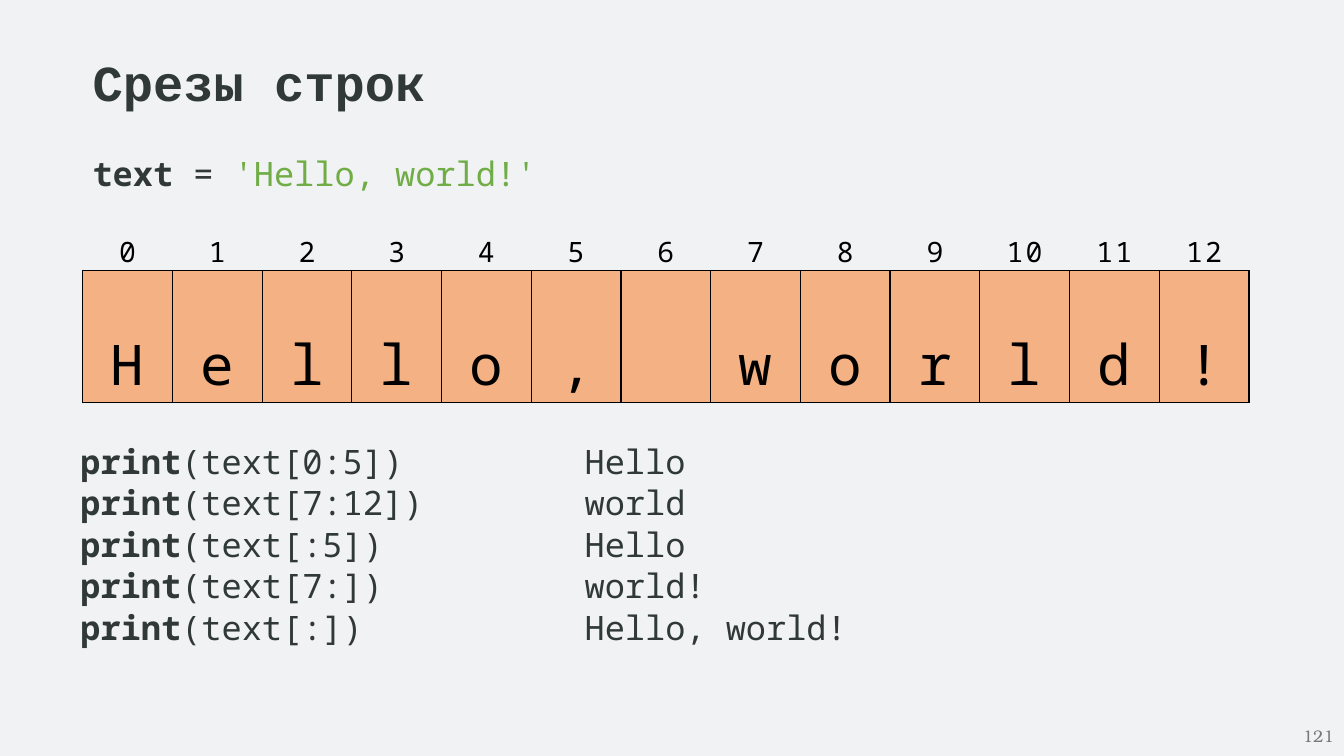
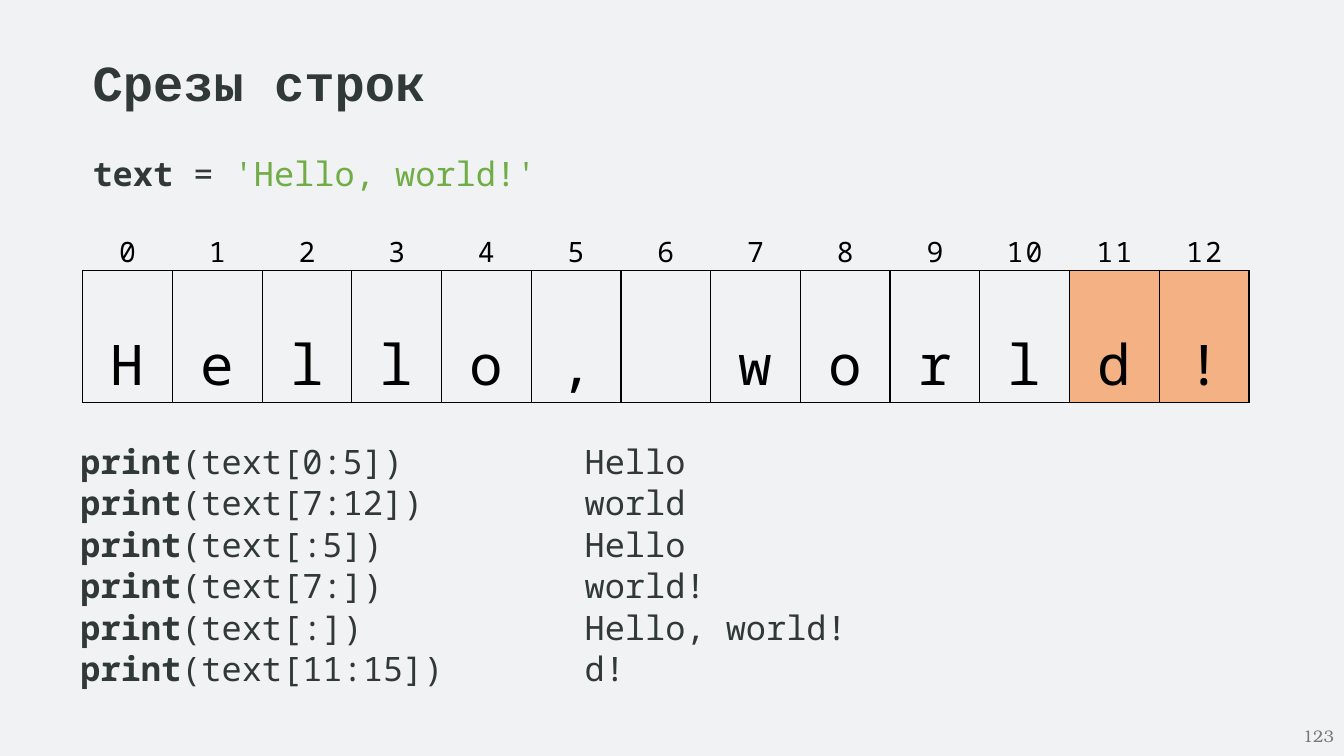
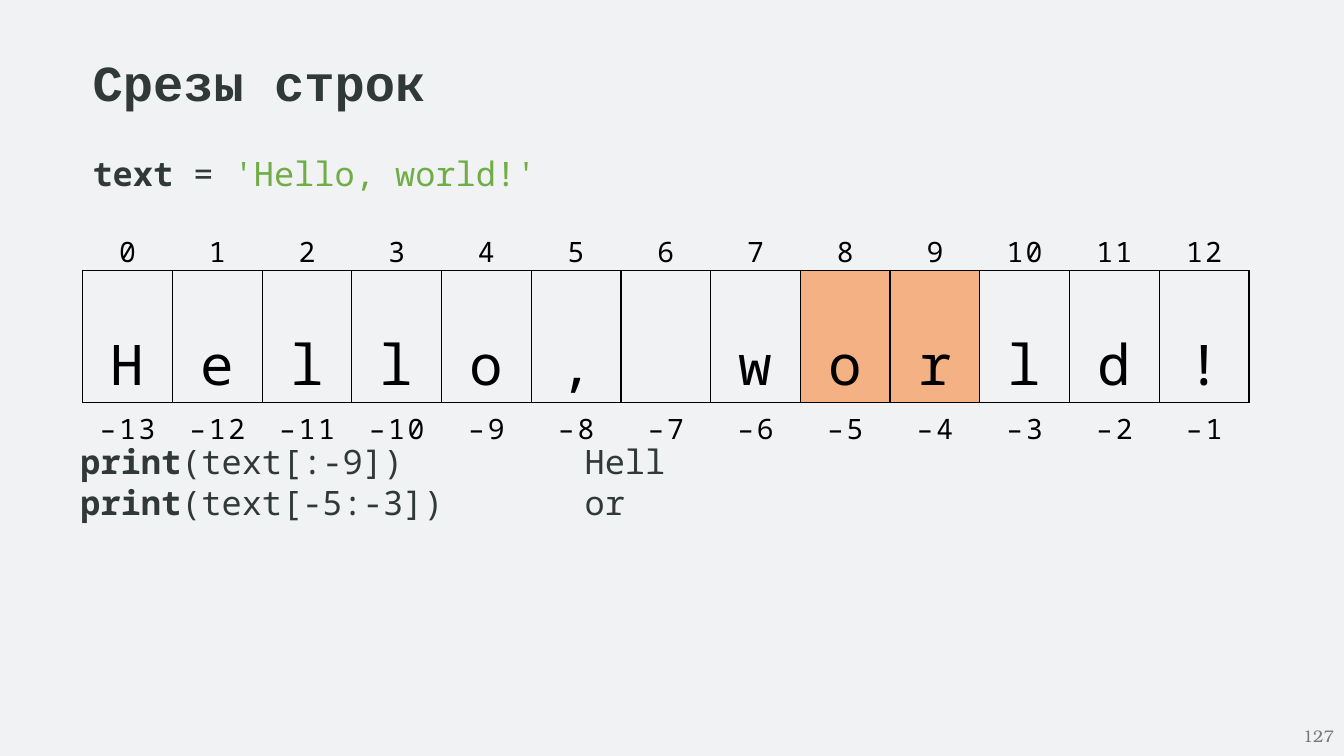
"""Build three slides that explain string slices in Python."""
from lxml import etree
from pptx import Presentation
from pptx import util as u
from pptx.dml.color import RGBColor
from pptx.enum import text
from pptx.oxml import ns

COLOURS = {
    "background": "F1F2F3",
    "ink": "303938",
    "string": "70AD47",
    "cell": "F4B183",
    "line": "000000",
    "page": "797979",
}
CODE = {"name": "Noto Sans Mono", "size": u.Pt(24), "bold": False}
FORMATS = {
    "title": ({"name": "Courier New", "size": u.Pt(36), "bold": True}, "ink"),
    "code": (CODE, "ink"),
    "keyword": (CODE | {"bold": True}, "ink"),
    "string": (CODE, "string"),
    "index": (CODE | {"size": u.Pt(20)}, "line"),
    "letter": (CODE | {"size": u.Pt(40)}, "line"),
    "page": ({"name": "TeX Gyre Bonum", "size": u.Pt(12)}, "page"),
}
NO_TABLE_STYLE = "{2D5ABB26-0587-4C30-8999-92F81FD0307C}"
ROW_HEIGHTS = (0.42, 1.02, 0.38)
COLUMN_WIDTH = 0.89
OUTPUT_TAB = 5
WORD = "Hello, world!"

SLICES = [
    ("[0:5]", "Hello"),
    ("[7:12]", "world"),
    ("[:5]", "Hello"),
    ("[7:]", "world!"),
    ("[:]", "Hello, world!"),
]
SLIDES = [
    {"page": 121, "calls": SLICES, "marked": slice(None), "negative": False},
    {"page": 123, "calls": SLICES + [("[11:15]", "d!")], "marked": slice(11, 15), "negative": False},
    {"page": 127, "calls": [("[:-9]", "Hell"), ("[-5:-3]", "or")], "marked": slice(-5, -3), "negative": True},
]


class Deck:
    """Hold the shared style and the current slide."""

    def __init__(self):
        self.presentation = Presentation()
        self.presentation.slide_width = u.Inches(13.33)
        self.presentation.slide_height = u.Inches(7.5)
        self.slide = None
        self.paint(self.presentation.slide_master.background.fill, "background")

    def paint(self, fill, colour):
        """Fill an area with a named colour."""
        fill.solid()
        fill.fore_color.rgb = RGBColor.from_string(COLOURS[colour])

    def add_words(self, paragraph, words, style):
        """Add one formatted run."""
        run = paragraph.add_run()
        run.text = words
        values, colour = FORMATS[style]
        for name, value in values.items():
            setattr(run.font, name, value)
        run.font.color.rgb = RGBColor.from_string(COLOURS[colour])
        return run

    def text_box(self, place, lines, alignment=text.PP_ALIGN.JUSTIFY, tab=None, **frame_values):
        """Add a text box whose lines are lists of words and style."""
        shape = self.slide.shapes.add_textbox(*map(u.Inches, place))
        frame = shape.text_frame
        for name, value in ({"word_wrap": True} | frame_values).items():
            setattr(frame, name, value)
        for number, line in enumerate(lines):
            paragraph = frame.add_paragraph() if number else frame.paragraphs[0]
            paragraph.alignment = alignment
            if number:
                paragraph.space_before = u.Pt(0.9)
            if tab:
                tabs = etree.SubElement(paragraph._p.get_or_add_pPr(), ns.qn("a:tabLst"))
                etree.SubElement(tabs, ns.qn("a:tab"), pos=str(u.Inches(tab)), algn="l")
            for words, style in line:
                self.add_words(paragraph, words, style)

    def start(self, title, page):
        """Add a slide with its title and page number."""
        self.slide = self.presentation.slides.add_slide(self.presentation.slide_layouts[6])
        self.text_box((0.82, 0.46, 3.54, 0.71), [[(title, "title")]], text.PP_ALIGN.LEFT, word_wrap=False)
        self.text_box((10.33, 7.1, 3, 0.4), [[(str(page), "page")]], text.PP_ALIGN.RIGHT,
                      vertical_anchor=text.MSO_ANCHOR.MIDDLE)

    def assignment(self):
        """Show the statement that defines the string."""
        line = [("text ", "keyword"), ("= ", "code"), (f"'{WORD}'", "string")]
        self.text_box((0.82, 1.47, 11.94, 0.5), [line])

    def calls(self, calls):
        """List print calls with their output at a tab stop."""
        lines = [[("print", "keyword"), (f"(text{part})\t{output}", "code")] for part, output in calls]
        self.text_box((0.7, 4.32, 11.94, 2.59), lines, tab=OUTPUT_TAB)

    def fill_cell(self, cell, words, style, spacing=0, top=0, **paragraph_values):
        """Put centred words into one table cell without margins."""
        cell.margin_left = cell.margin_right = cell.margin_bottom = 0
        cell.margin_top = u.Inches(top)
        paragraph = cell.text_frame.paragraphs[0]
        for name, value in ({"alignment": text.PP_ALIGN.CENTER} | paragraph_values).items():
            setattr(paragraph, name, value)
        run = self.add_words(paragraph, words, style)
        if spacing:
            run._r.get_or_add_rPr().set("spc", str(spacing))

    def border(self, cell):
        """Draw a thin line on all four sides of a cell."""
        properties = cell._tc.get_or_add_tcPr()
        for side in ("lnL", "lnR", "lnT", "lnB"):
            line = etree.SubElement(properties, ns.qn(f"a:{side}"), w=str(u.Pt(1)))
            fill = etree.SubElement(line, ns.qn("a:solidFill"))
            etree.SubElement(fill, ns.qn("a:srgbClr"), val=COLOURS["line"])

    def letters(self, marked, negative):
        """Add the table of letters and indexes with a marked slice."""
        count = len(WORD)
        place = (0.82, 2.21, COLUMN_WIDTH * count, sum(ROW_HEIGHTS))
        table = self.slide.shapes.add_table(len(ROW_HEIGHTS), count, *map(u.Inches, place)).table
        table.first_row = table.horz_banding = False
        table._tbl.tblPr.find(ns.qn("a:tableStyleId")).text = NO_TABLE_STYLE
        for row, height in zip(table.rows, ROW_HEIGHTS):
            row.height = u.Inches(height)
        marked_columns = range(count)[marked]
        for column, letter in enumerate(WORD):
            index_cell, letter_cell, negative_cell = (table.cell(row, column) for row in range(3))
            self.fill_cell(index_cell, str(column), "index", 160 if column > 9 else 0,
                           line_spacing=u.Pt(34.1))
            self.border(letter_cell)
            if letter.strip():
                self.fill_cell(letter_cell, letter, "letter", line_spacing=u.Pt(94))
            if negative:
                distance = count - column
                self.fill_cell(negative_cell, f"–{distance}", "index", 190 if distance > 9 else 200,
                               top=0.07, space_before=u.Pt(5.2))
            for cell in (index_cell, letter_cell, negative_cell):
                cell.fill.background()
            if column in marked_columns:
                self.paint(letter_cell.fill, "cell")


def main():
    deck = Deck()
    for content in SLIDES:
        deck.start("Срезы строк", content["page"])
        deck.assignment()
        deck.calls(content["calls"])
        deck.letters(content["marked"], content["negative"])
    deck.presentation.save("out.pptx")


if __name__ == "__main__":
    main()
